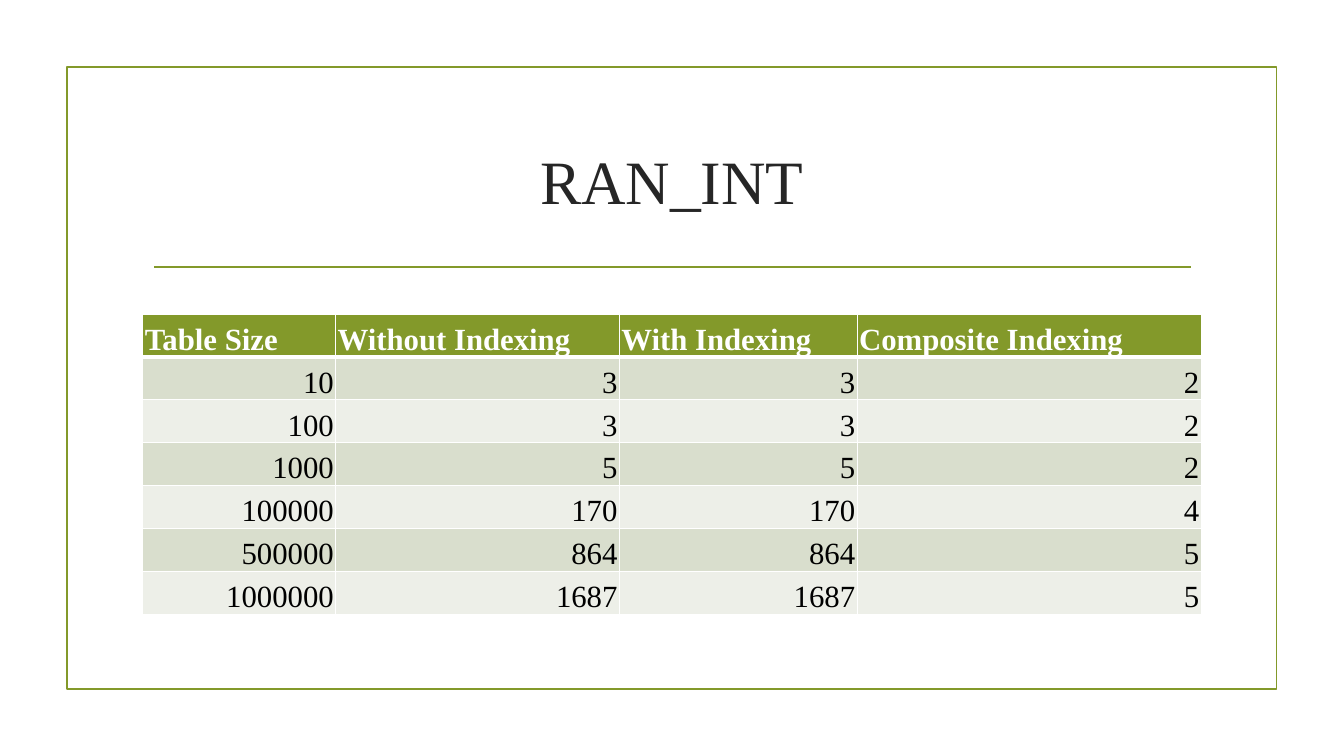
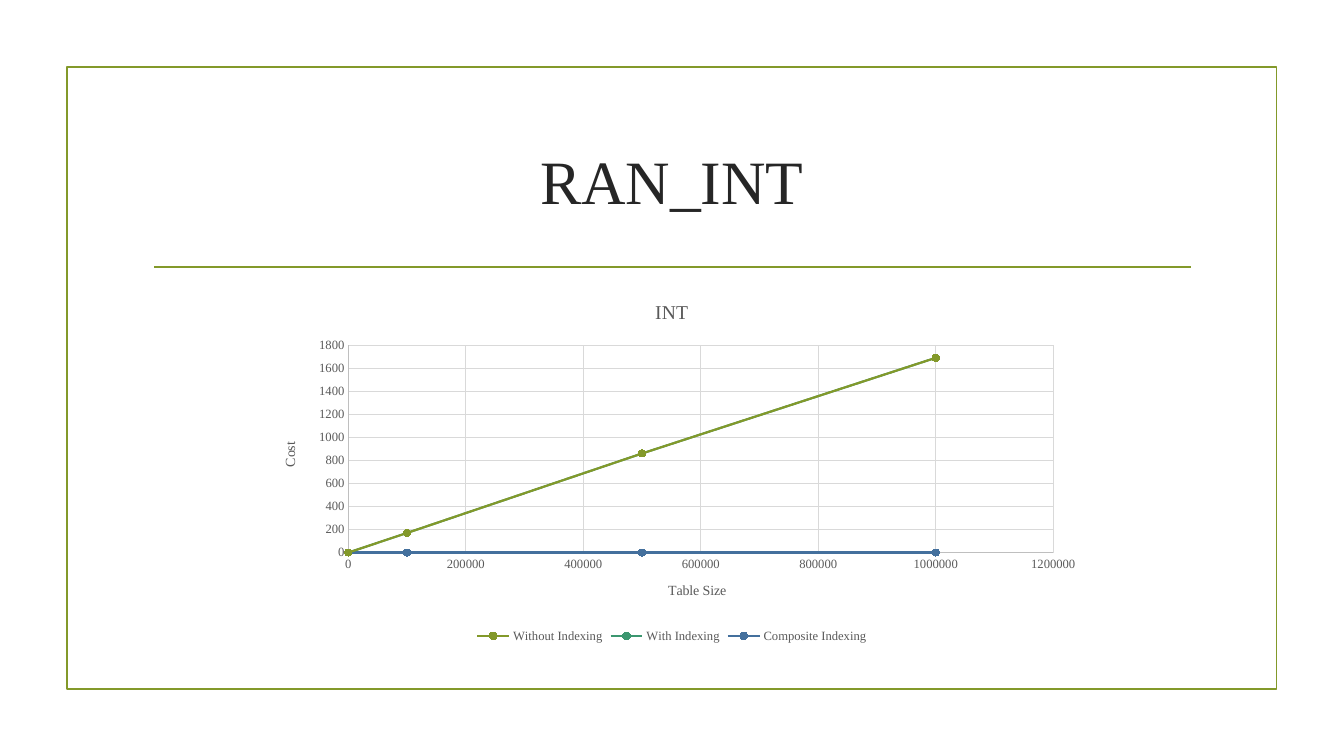
"""Build two slides on RAN_INT query cost: a table of the measurements and a chart of them."""
import dataclasses

import lxml.etree
import pptx
import pptx.chart.data
import pptx.dml.color
import pptx.enum.chart
import pptx.enum.shapes
import pptx.enum.text
import pptx.oxml
import pptx.oxml.ns
import pptx.util

Cm = pptx.util.Cm
Pt = pptx.util.Pt
RGB = pptx.dml.color.RGBColor.from_string
qn = pptx.oxml.ns.qn
ALIGN = pptx.enum.text.PP_ALIGN
ANCHOR = pptx.enum.text.MSO_ANCHOR


@dataclasses.dataclass(frozen=True)
class Theme:
    font: str = "Times New Roman"
    accent: str = "83992A"
    series: tuple = ("83992A", "3C9770", "44709D")
    bands: tuple = ("D9DECD", "EDEFE8")
    white: str = "FFFFFF"
    black: str = "000000"
    title: str = "262626"
    label: str = "595959"
    axis: str = "BFBFBF"
    grid: str = "D9D9D9"
    title_size: int = 44
    table_size: int = 22
    chart_title_size: int = 14
    axis_title_size: int = 10
    label_size: int = 9
    rule_width: float = 1.25


theme = Theme()


def write(frame, text, size, color, bold=False, align=None):
    """Put one formatted paragraph into a text frame."""
    paragraph = frame.paragraphs[0]
    paragraph.alignment = align
    run = paragraph.add_run()
    run.text = text
    style(run.font, size, color, bold)


def style(font, size, color, bold=False):
    """Give a font the theme's typeface with a size, colour and weight."""
    font.name = theme.font
    font.size = Pt(size)
    font.bold = bold
    font.color.rgb = RGB(color)


headings = ["Table Size", "Without Indexing", "With Indexing", "Composite Indexing"]
costs = [
    (10, 3, 3, 2),
    (100, 3, 3, 2),
    (1000, 5, 5, 2),
    (100000, 170, 170, 4),
    (500000, 864, 864, 5),
    (1000000, 1687, 1687, 5),
]

deck = pptx.Presentation()
deck.slide_width, deck.slide_height = Cm(33.87), Cm(19.05)
table_slide, chart_slide = [deck.slides.add_slide(deck.slide_layouts[6]) for _ in range(2)]

for slide in (table_slide, chart_slide):
    border = slide.shapes.add_shape(
        pptx.enum.shapes.MSO_SHAPE.RECTANGLE, Cm(1.69), Cm(1.69), Cm(30.48), Cm(15.67))
    border.shadow.inherit = False
    border.fill.background()
    rule = slide.shapes.add_connector(
        pptx.enum.shapes.MSO_CONNECTOR.STRAIGHT, Cm(3.89), Cm(6.73), Cm(30.01), Cm(6.73))
    lxml.etree.SubElement(rule.element.spPr, qn("a:effectLst"))
    for outline in (border.line, rule.line):
        outline.color.rgb = RGB(theme.accent)
        outline.width = Pt(theme.rule_width)
    title = slide.shapes.add_textbox(Cm(3.6), Cm(2.72), Cm(26.67), Cm(3.63)).text_frame
    title.word_wrap = True
    title.vertical_anchor = ANCHOR.MIDDLE
    write(title, "RAN_INT", theme.title_size, theme.title, align=ALIGN.CENTER)

rows = [headings] + costs
table_height = 7.58
cost_table = table_slide.shapes.add_table(
    len(rows), len(headings), Cm(3.6), Cm(7.91), Cm(26.67), Cm(table_height)).table
for column, width in zip(cost_table.columns, (4.86, 7.15, 5.99, 8.67)):
    column.width = Cm(width)
for r, row in enumerate(rows):
    cost_table.rows[r].height = Cm(table_height / len(rows))
    is_header = r == 0
    edges = {"L": 1, "R": 1, "T": 3 if r == 1 else 1, "B": 3 if is_header else 1}
    for c, value in enumerate(row):
        cell = cost_table.cell(r, c)
        cell.vertical_anchor = ANCHOR.BOTTOM
        cell.margin_left = cell.margin_right = cell.margin_top = Cm(0.05)
        cell.margin_bottom = 0
        cell.fill.solid()
        cell.fill.fore_color.rgb = RGB(theme.accent if is_header else theme.bands[(r - 1) % 2])
        write(cell.text_frame, str(value), theme.table_size,
              theme.white if is_header else theme.black, bold=is_header,
              align=ALIGN.LEFT if is_header else ALIGN.RIGHT)
        properties = cell._tc.get_or_add_tcPr()
        for position, (side, points) in enumerate(edges.items()):
            edge = lxml.etree.Element(qn(f"a:ln{side}"), w=str(Pt(points)))
            fill = lxml.etree.SubElement(edge, qn("a:solidFill"))
            lxml.etree.SubElement(fill, qn("a:srgbClr"), val=theme.white)
            properties.insert(position, edge)

cost_data = pptx.chart.data.XyChartData()
for c, heading in enumerate(headings[1:], start=1):
    measured = cost_data.add_series(heading)
    for row in costs:
        measured.add_data_point(round(row[0], -4), round(row[c], -1))
chart = chart_slide.shapes.add_chart(
    pptx.enum.chart.XL_CHART_TYPE.XY_SCATTER_LINES,
    Cm(6.48), Cm(7.14), Cm(20.9), Cm(9.17), cost_data).chart
style(chart.font, theme.axis_title_size, theme.black)
chart.has_title = True
write(chart.chart_title.text_frame, "INT", theme.chart_title_size, theme.label)
chart.has_legend = True
chart.legend.position = pptx.enum.chart.XL_LEGEND_POSITION.BOTTOM
chart.legend.include_in_layout = False
style(chart.legend.font, theme.label_size, theme.label)

chart.plots[0].vary_by_categories = False
for series, color in zip(chart.plots[0].series, theme.series):
    series.smooth = False
    series.format.line.color.rgb = RGB(color)
    series.format.line.width = Pt(1.5)
    series.marker.style = pptx.enum.chart.XL_MARKER_STYLE.CIRCLE
    series.marker.size = 5
    series.marker.format.fill.solid()
    series.marker.format.fill.fore_color.rgb = RGB(color)
    series.marker.format.line.color.rgb = RGB(color)

for axis, name, maximum, step in (
    (chart.category_axis, headings[0], 1200000, 200000),
    (chart.value_axis, "Cost", 1800, 200),
):
    axis.minimum_scale, axis.maximum_scale, axis.major_unit = 0, maximum, step
    axis.major_tick_mark = axis.minor_tick_mark = pptx.enum.chart.XL_TICK_MARK.NONE
    axis.has_major_gridlines = True
    for line, color in ((axis.format.line, theme.axis),
                        (axis.major_gridlines.format.line, theme.grid)):
        line.color.rgb = RGB(color)
        line.width = Pt(0.75)
    axis.tick_labels.number_format = "General"
    axis.tick_labels.number_format_is_linked = False
    style(axis.tick_labels.font, theme.label_size, theme.label)
    axis.has_title = True
    write(axis.axis_title.text_frame, name, theme.axis_title_size, theme.label)

plot_area = chart.element.find(f".//{qn('c:plotArea')}")
for automatic in plot_area.findall(qn("c:layout")):
    plot_area.remove(automatic)
layout = lxml.etree.Element(qn("c:layout"))
plot_area.insert(0, layout)
manual = lxml.etree.SubElement(layout, qn("c:manualLayout"))
for tag, value in (("layoutTarget", "inner"), ("xMode", "edge"), ("yMode", "edge"),
                   ("x", "0.11"), ("y", "0.17"), ("w", "0.85"), ("h", "0.57")):
    lxml.etree.SubElement(manual, qn(f"c:{tag}"), val=value)

deck.save("out.pptx")
